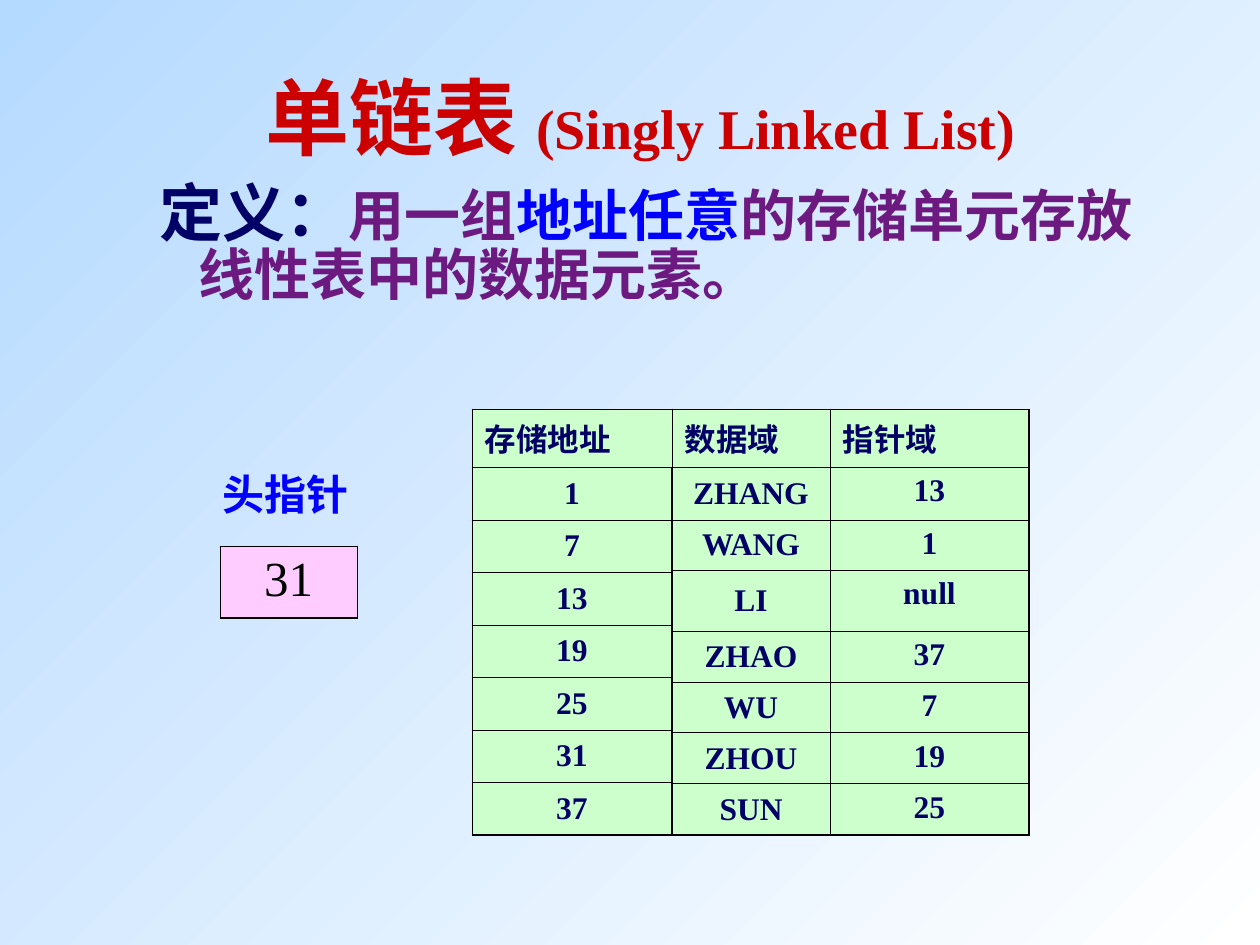
from lxml import etree
from pptx import Presentation
from pptx.dml.color import RGBColor
from pptx.enum.text import MSO_ANCHOR, PP_ALIGN
from pptx.oxml.ns import qn
from pptx.util import Pt

SCALE = 914400 / 126
LEFT, CENTER = PP_ALIGN.LEFT, PP_ALIGN.CENTER
TOP, MIDDLE = MSO_ANCHOR.TOP, MSO_ANCHOR.MIDDLE
LATIN, HAN = "Times New Roman", "Noto Sans CJK SC"
THIN, THICK = 0.45, 1.08

SKY = RGBColor(0xB5, 0xDA, 0xFF)
WHITE = RGBColor(0xFF, 0xFF, 0xFF)
RED = RGBColor(0xCC, 0x00, 0x00)
NAVY = RGBColor(0x00, 0x00, 0x66)
PURPLE = RGBColor(0x6D, 0x1A, 0x80)
BLUE = RGBColor(0x00, 0x00, 0xFF)
BLACK = RGBColor(0x00, 0x00, 0x00)
GREEN = RGBColor(0xCC, 0xFF, 0xCC)
PINK = RGBColor(0xFF, 0xCC, 0xFF)


def px(num):
    return round(num * SCALE)


class Page:
    def __init__(self, deck):
        self.slide = deck.slides.add_slide(deck.slide_layouts[6])

    def backdrop(self, start, end):
        fill = self.slide.background.fill
        fill.gradient()
        fill.gradient_angle = 315
        for stop, color in zip(fill.gradient_stops, (start, end)):
            stop.color.rgb = color

    def style(self, run, size, color, bold=True, face=LATIN):
        font = run.font
        font.size, font.bold, font.name = Pt(size), bold, face
        font.color.rgb = color
        han = etree.SubElement(run._r.rPr, qn("a:ea"))
        han.set("typeface", HAN)

    def text(self, box, runs, align=LEFT, anchor=TOP, wrap=True):
        frame = self.slide.shapes.add_textbox(*map(px, box)).text_frame
        frame.word_wrap, frame.vertical_anchor = wrap, anchor
        para = frame.paragraphs[0]
        para.alignment = align
        for words, *look in runs:
            run = para.add_run()
            run.text = words
            self.style(run, *look)
        return para

    def border(self, cell, sides):
        props = cell._tc.get_or_add_tcPr()
        for spot, (side, width) in enumerate(sides.items()):
            line = etree.Element(qn("a:ln" + side), w=str(Pt(width)))
            fill = etree.SubElement(line, qn("a:solidFill"))
            etree.SubElement(fill, qn("a:srgbClr"), val=str(BLACK))
            props.insert(spot, line)

    def cell(self, cell, words, fill, size, color, bold, align, anchor):
        cell.text_frame.text = words
        cell.vertical_anchor = anchor
        cell.fill.solid()
        cell.fill.fore_color.rgb = fill
        para = cell.text_frame.paragraphs[0]
        para.alignment, para.space_before = align, Pt(size / 4)
        self.style(para.runs[0], size, color, bold)

    def table(self, left, top, wide, tall, rows, head=True,
              fill=GREEN, size=18, color=NAVY, bold=True):
        box = map(px, (left, top, sum(wide), sum(tall)))
        grid = self.slide.shapes.add_table(len(tall), len(wide), *box).table
        grid.first_row = grid.horz_banding = False
        for col, width in zip(grid.columns, wide):
            col.width = px(width)
        for row, height in zip(grid.rows, tall):
            row.height = px(height)
        for r, row in enumerate(rows):
            for c, words in enumerate(row):
                cell = grid.cell(r, c)
                align = LEFT if head and r == 0 else CENTER
                anchor = MIDDLE if head and r and c == 0 else TOP
                self.cell(cell, words, fill, size, color, bold, align, anchor)
                right = THICK if c == len(wide) - 1 and (r or c) else THIN
                base = THICK if r == len(tall) - 1 else THIN
                self.border(cell, {"L": THIN, "R": right, "T": THIN, "B": base})


def main():
    deck = Presentation()
    deck.slide_width, deck.slide_height = px(1260), px(945)
    page = Page(deck)
    page.backdrop(SKY, WHITE)

    page.text((105, 53, 1071, 126),
              [("单链表 ", 48, RED, True, HAN),
               ("(Singly Linked List)", 32, RED)], CENTER, MIDDLE)

    body = page.text((84, 179, 1081, 714),
                     [("定义：", 36, NAVY), ("用一组", 32, PURPLE),
                      ("地址任意", 32, BLUE),
                      ("的存储单元存放线性表中的数据元素。", 32, PURPLE)])
    body.space_before, body.line_spacing = Pt(4), 0.85
    props = body._p.get_or_add_pPr()
    props.set("marL", str(px(102)))
    props.set("indent", str(px(-39)))

    nodes = [("数据域", "指针域"), ("ZHANG", "13"), ("WANG", "1"),
             ("LI", "null"), ("ZHAO", "37"), ("WU", "7"),
             ("ZHOU", "19"), ("SUN", "25")]
    page.table(672, 409, [158, 199], [58, 53, 50, 61, 51, 50, 51, 51], nodes)

    places = [("存储地址",)] + [(str(n),) for n in range(1, 38, 6)]
    page.table(472, 409, [200], [58] + [53, 52] * 3 + [53], places)

    page.table(220, 546, [137], [72], [("31",)], head=False,
               fill=PINK, size=28, color=BLACK, bold=False)
    page.text((210, 462, 151, 63), [("头指针", 24, BLUE)], wrap=False)
    deck.save("out.pptx")


if __name__ == "__main__":
    main()
